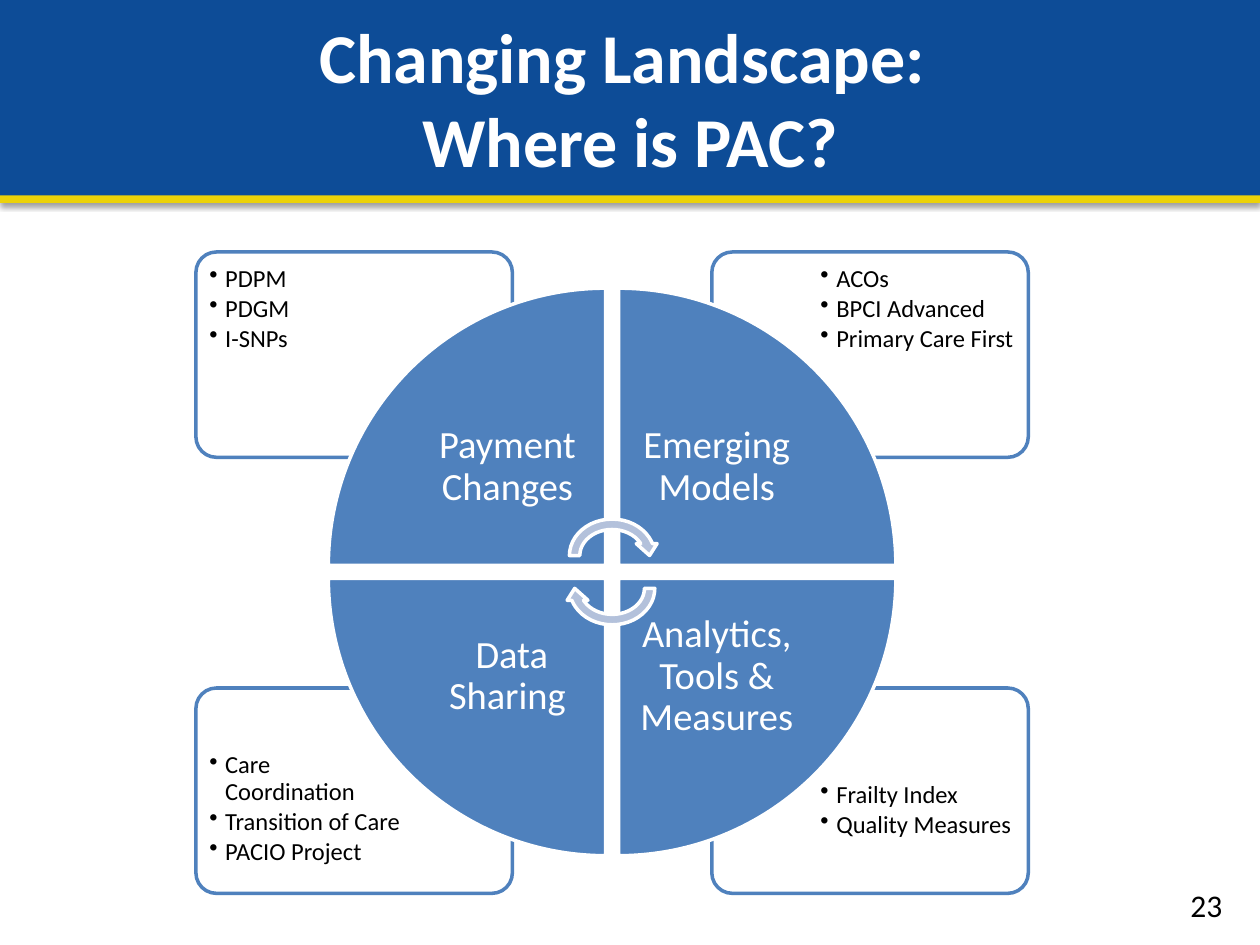
from lxml.etree import SubElement
from pptx import Presentation
from pptx.dml.color import RGBColor
from pptx.enum.shapes import MSO_CONNECTOR, MSO_SHAPE
from pptx.enum.text import MSO_ANCHOR as Anchor, PP_ALIGN as Align
from pptx.oxml.ns import qn
from pptx.util import Cm, Pt

COLORS = {"banner": "0D4C97", "rule": "ECD208", "wedge": "4F81BD",
          "arrow": "B3C1DB", "white": "FFFFFF", "black": "000000"}
FONT = "Calibri"

SLIDE_W, SLIDE_H = 25.4, 19.05
CENTER_X, CENTER_Y = 12.34, 11.53
HALF_GAP = 0.13
WEDGE = 5.59
CAPTION = 3.96
CARD_W, CARD_H = 6.38, 4.14
CARD_TOPS = (5.08, 13.87)
CARD_OFFSET = 2.01
LIST_W, LIST_H = 4.29, 2.92
LIST_LEFTS, LIST_TOPS = (4.04, 16.36), (5.18, 14.99)
LIST_INSET = 0.18
LINE_PITCH = 0.6
ARROW_W, ARROW_H = 1.93, 1.68

# column, row, wedge rotation, caption, list items, empty lines above the list
QUADRANTS = [
    (0, 0, 0, "Payment Changes", ["PDPM", "PDGM", "I-SNPs"], 0),
    (1, 0, 90, "Emerging Models",
     ["ACOs", "BPCI Advanced", "Primary Care First"], 0),
    (1, 1, 180, "Analytics, Tools & Measures",
     ["Frailty Index", "Quality Measures"], 1),
    (0, 1, 270, " Data Sharing",
     ["Care Coordination", "Transition of Care", "PACIO Project"], 0),
]


def rgb(name):
    return RGBColor.from_string(COLORS[name])


def beside(center, side, size, gap=HALF_GAP):
    """Start of an extent lying before (0) or after (1) a centre line."""
    return center + gap if side else center - gap - size


def add_preset(slide, preset, box, fill, line=None):
    shape = slide.shapes.add_shape(preset, *map(Cm, box))
    shape.shadow.inherit = False
    shape.fill.solid()
    shape.fill.fore_color.rgb = rgb(fill)
    if line:
        shape.line.color.rgb = rgb(line)
        shape.line.width = Pt(2)
    else:
        shape.line.fill.background()
    return shape


def add_run(paragraph, text, size, color, bold=False):
    run = paragraph.add_run()
    run.text = text
    run.font.name, run.font.size, run.font.bold = FONT, Pt(size), bold
    run.font.color.rgb = rgb(color)


def add_text_frame(slide, box, inset, anchor=Anchor.TOP):
    frame = slide.shapes.add_textbox(*map(Cm, box)).text_frame
    frame.word_wrap = True
    frame.vertical_anchor = anchor
    frame.margin_left = frame.margin_right = Cm(inset)
    frame.margin_top = frame.margin_bottom = Cm(inset)
    return frame


def add_banner(slide):
    rule = slide.shapes.add_connector(
        MSO_CONNECTOR.STRAIGHT, 0, Cm(3.99), Cm(SLIDE_W), Cm(3.99))
    rule.line.color.rgb = rgb("rule")
    rule.line.width = Pt(6)
    effects = SubElement(rule._element.spPr, qn("a:effectLst"))
    shadow = SubElement(effects, qn("a:outerShdw"), blurRad=str(Pt(3.1)),
                        dist=str(Pt(1.6)), dir="5400000", rotWithShape="0")
    tint = SubElement(shadow, qn("a:srgbClr"), val=COLORS["black"])
    SubElement(tint, qn("a:alpha"), val="38000")

    banner = add_preset(slide, MSO_SHAPE.RECTANGLE,
                        (0, 0, SLIDE_W, 3.94), "banner")
    banner.text_frame.vertical_anchor = Anchor.MIDDLE
    title = banner.text_frame.paragraphs[0]
    title.alignment = Align.CENTER
    add_run(title, "Changing Landscape: ", 40, "white", bold=True)
    title.add_line_break()
    add_run(title, "Where is PAC?", 40, "white", bold=True)


def add_page_number(slide):
    frame = add_text_frame(slide, (22.15, 17.73, 2.74, 1.02), 0.25,
                           Anchor.MIDDLE)
    frame.paragraphs[0].alignment = Align.RIGHT
    add_run(frame.paragraphs[0], "23", 18, "black")


def add_card(slide, column, row):
    left = beside(CENTER_X, column, CARD_W, CARD_OFFSET)
    card = add_preset(slide, MSO_SHAPE.ROUNDED_RECTANGLE,
                      (left, CARD_TOPS[row], CARD_W, CARD_H),
                      "white", "wedge")
    card.adjustments[0] = 0.1
    fill = card._element.spPr.find(qn("a:solidFill"))
    SubElement(fill[0], qn("a:alpha"), val="90000")


def add_list(slide, column, row, items, lines_above):
    frame = add_text_frame(
        slide, (LIST_LEFTS[column], LIST_TOPS[row], LIST_W, LIST_H),
        LIST_INSET)
    frame.margin_top = Cm(LIST_INSET + lines_above * LINE_PITCH)
    for index, item in enumerate(items):
        paragraph = frame.add_paragraph() if index else frame.paragraphs[0]
        paragraph.line_spacing = 0.9
        paragraph.space_after = Pt(2)
        properties = paragraph._p.get_or_add_pPr()
        properties.set("marL", str(Cm(0.32)))
        properties.set("indent", str(-Cm(0.32)))
        SubElement(properties, qn("a:buChar"), char="•")
        add_run(paragraph, item, 14, "black")


def add_wedge(slide, column, row, rotation, caption):
    box = (beside(CENTER_X, column, WEDGE), beside(CENTER_Y, row, WEDGE),
           WEDGE, WEDGE)
    wedge = add_preset(slide, MSO_SHAPE.PIE_WEDGE, box, "wedge", "white")
    wedge.rotation = rotation
    caption_box = (beside(CENTER_X, column, CAPTION),
                   beside(CENTER_Y, row, CAPTION), CAPTION, CAPTION)
    frame = add_text_frame(slide, caption_box, 0.43, Anchor.MIDDLE)
    paragraph = frame.paragraphs[0]
    paragraph.alignment = Align.CENTER
    paragraph.line_spacing = 0.9
    add_run(paragraph, caption, 22, "white")


def add_cycle_arrows(slide):
    for top, rotation in ((10.36, 0), (11.02, 180)):
        box = (CENTER_X - ARROW_W / 2, top, ARROW_W, ARROW_H)
        arrow = add_preset(slide, MSO_SHAPE.CIRCULAR_ARROW, box,
                           "arrow", "white")
        arrow.rotation = rotation


def main():
    deck = Presentation()
    deck.slide_width, deck.slide_height = Cm(SLIDE_W), Cm(SLIDE_H)
    slide = deck.slides.add_slide(deck.slide_layouts[6])
    add_banner(slide)
    add_page_number(slide)
    for column, row, _, _, items, lines_above in QUADRANTS:
        add_card(slide, column, row)
        add_list(slide, column, row, items, lines_above)
    for column, row, rotation, caption, _, _ in QUADRANTS:
        add_wedge(slide, column, row, rotation, caption)
    add_cycle_arrows(slide)
    deck.save("out.pptx")


if __name__ == "__main__":
    main()
